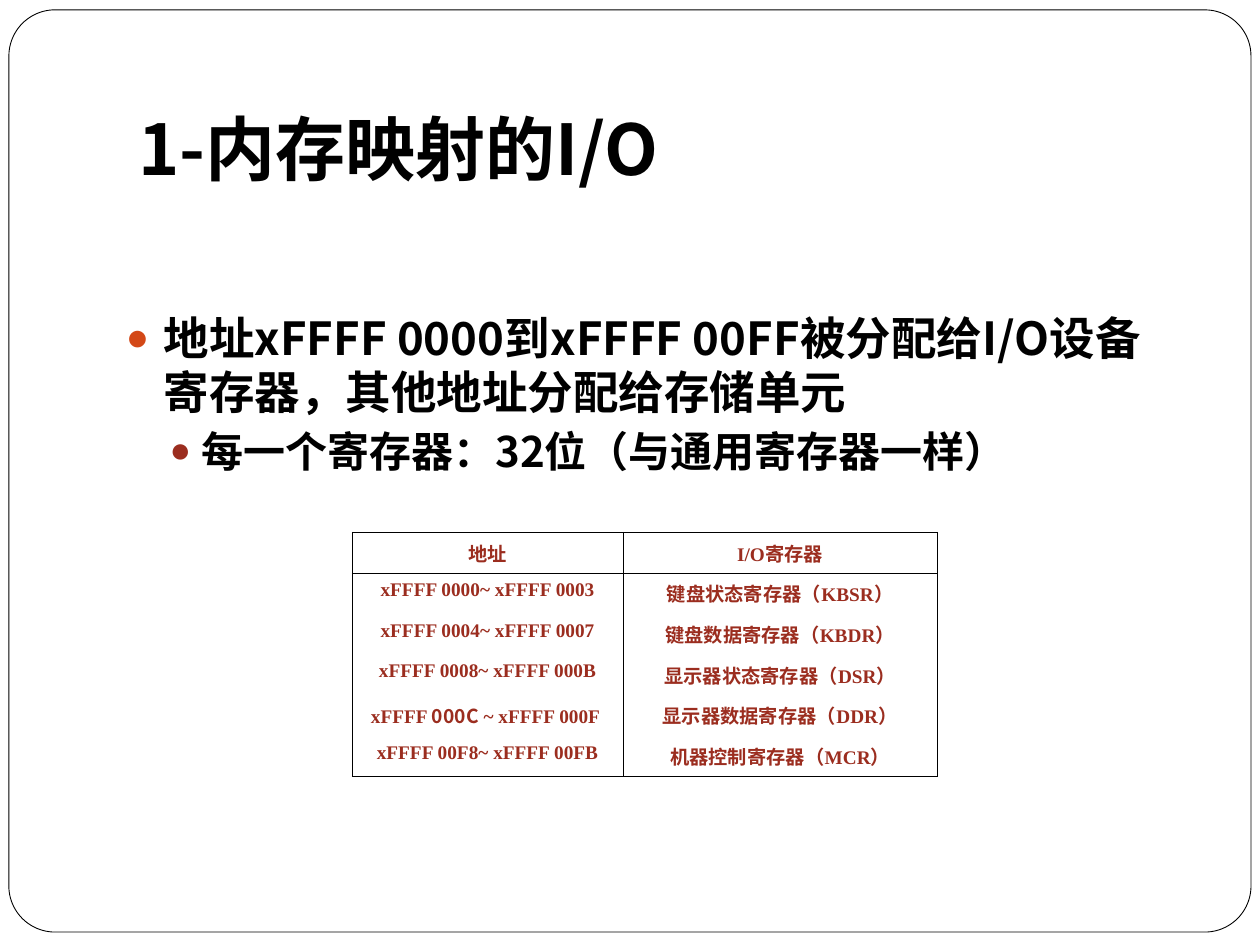
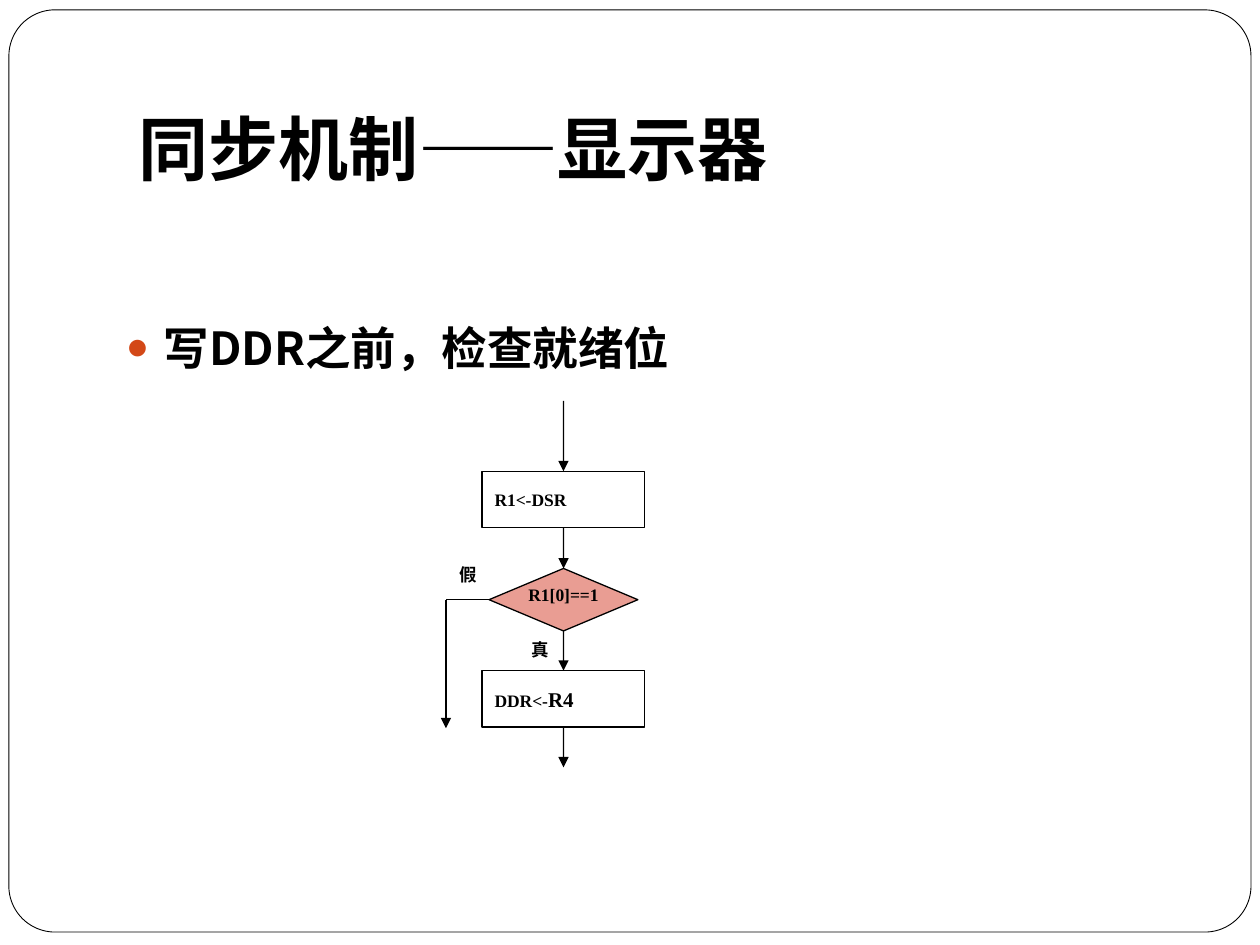
from lxml import etree
from pptx import Presentation
from pptx.dml.color import RGBColor
from pptx.enum.shapes import MSO_CONNECTOR, MSO_SHAPE
from pptx.enum.text import MSO_ANCHOR, PP_ALIGN
from pptx.oxml.ns import qn
from pptx.util import Cm, Pt

STRAIGHT = MSO_CONNECTOR.STRAIGHT
RECTANGLE, ROUNDED = MSO_SHAPE.RECTANGLE, MSO_SHAPE.ROUNDED_RECTANGLE
DECISION = MSO_SHAPE.FLOWCHART_DECISION
TOP, MIDDLE, BOTTOM = MSO_ANCHOR.TOP, MSO_ANCHOR.MIDDLE, MSO_ANCHOR.BOTTOM
LEFT, CENTER = PP_ALIGN.LEFT, PP_ALIGN.CENTER
SIDE_TOP, SIDE_LEFT, SIDE_BOTTOM = 0, 1, 2

SANS, SERIF = "Noto Sans CJK SC", "Times New Roman"
BLACK, WHITE, RED, ORANGE, PINK = "000000", "FFFFFF", "9B2D1F", "D34817", "E99D93"


def color(hex_string):
    return RGBColor.from_string(hex_string)


def write(paragraph, runs, size, hex_string=BLACK, alignment=LEFT):
    """Fill a paragraph with (text, font) or (text, font, size) runs."""
    paragraph.alignment = alignment
    for text, font_name, *own_size in runs:
        run = paragraph.add_run()
        run.text = text
        run.font.size = Pt(own_size[0] if own_size else size)
        run.font.bold = True
        run.font.name = font_name
        run.font.color.rgb = color(hex_string)
        east_asian = etree.SubElement(run.font._element, qn("a:ea"))
        east_asian.set("typeface", SANS)


presentation = Presentation()
presentation.slide_width, presentation.slide_height = Cm(25.4), Cm(19.05)

# Frame, title and bullets: (title, body top, [(level, text)])
contents = [
    ("1-内存映射的I/O", 6.12, [
        (0, "地址xFFFF 0000到xFFFF 00FF被分配给I/O设备寄存器，其他地址分配给存储单元"),
        (1, "每一个寄存器：32位（与通用寄存器一样）")]),
    ("同步机制——显示器", 6.32, [(0, "写DDR之前，检查就绪位")]),
]
# Per level: left margin, hanging indent, text size, bullet colour
levels = [(0.76, 0.76, 26, ORANGE), (1.52, 0.64, 24, RED)]
for title, body_top, bullets in contents:
    slide = presentation.slides.add_slide(presentation.slide_layouts[6])
    frame = slide.shapes.add_shape(ROUNDED, Cm(0.18), Cm(0.2), Cm(25.04), Cm(18.59))
    frame.adjustments[0] = 0.05
    frame.shadow.inherit = False
    frame.fill.solid()
    frame.fill.fore_color.rgb = color(WHITE)
    frame.line.color.rgb = color(BLACK)
    frame.line.width = Pt(0.5)

    title_box = slide.shapes.add_textbox(Cm(2.54), Cm(0.76), Cm(21.59), Cm(3.18))
    title_box.text_frame.word_wrap = True
    title_box.text_frame.vertical_anchor = BOTTOM
    write(title_box.text_frame.paragraphs[0], [(title, SANS)], 40)

    body = slide.shapes.add_textbox(Cm(2.29), Cm(body_top), Cm(21), Cm(11.2)).text_frame
    body.word_wrap = True
    for index, (level, text) in enumerate(bullets):
        paragraph = body.add_paragraph() if index else body.paragraphs[0]
        margin, hanging, size, bullet_color = levels[level]
        paragraph.level = level
        if index:
            paragraph.space_before = Pt(3.7)
        properties = paragraph._p.get_or_add_pPr()
        properties.set("marL", str(Cm(margin)))
        properties.set("indent", str(-Cm(hanging)))
        bullet = etree.SubElement(properties, qn("a:buClr"))
        etree.SubElement(bullet, qn("a:srgbClr")).set("val", bullet_color)
        etree.SubElement(properties, qn("a:buSzPct")).set("val", "85000")
        etree.SubElement(properties, qn("a:buFont")).set("typeface", SERIF)
        etree.SubElement(properties, qn("a:buChar")).set("char", "●")
        write(paragraph, [(text, SANS)], size)

table_slide, flow_slide = presentation.slides

# Register table
registers = [
    ([("xFFFF 0000~ xFFFF 0003", SERIF)], "键盘状态寄存器", "KBSR"),
    ([("xFFFF 0004~ xFFFF 0007", SERIF)], "键盘数据寄存器", "KBDR"),
    ([("xFFFF 0008~ xFFFF 000B", SERIF)], "显示器状态寄存器", "DSR"),
    ([("xFFFF ", SERIF), ("000C", SANS), (" ~ xFFFF 000F ", SERIF)], "显示器数据寄存器", "DDR"),
    ([("xFFFF 00F8~ xFFFF 00FB", SERIF)], "机器控制寄存器", "MCR"),
]
rows = [([("地址", SANS)], [("I/O", SERIF), ("寄存器", SANS)])]
for address, name, code in registers:
    rows.append((address, [(name + "（", SANS), (code, SERIF), ("）", SANS)]))

row_height = 0.82
table = table_slide.shapes.add_table(
    len(rows), 2, Cm(7.1), Cm(10.73), Cm(11.8), Cm(row_height * len(rows))).table
table.first_row = table.horz_banding = False
table.columns[0].width, table.columns[1].width = Cm(5.46), Cm(6.33)
for row_index, row in enumerate(rows):
    table.rows[row_index].height = Cm(row_height)
    for column_index, runs in enumerate(row):
        cell = table.cell(row_index, column_index)
        cell.margin_left = cell.margin_right = Cm(0.18)
        cell.margin_top = cell.margin_bottom = Cm(0.13)
        write(cell.text_frame.paragraphs[0], runs, 11, RED, CENTER)
        # Rules: all verticals, plus above and below the header and at the end
        ruled = {"a:lnL": True, "a:lnR": True, "a:lnT": row_index < 2,
                 "a:lnB": row_index in (0, len(rows) - 1)}
        cell_properties = cell._tc.get_or_add_tcPr()
        for tag, visible in ruled.items():
            border = etree.SubElement(cell_properties, qn(tag), w=str(Pt(0.45)))
            if visible:
                border_fill = etree.SubElement(border, qn("a:solidFill"))
                etree.SubElement(border_fill, qn("a:srgbClr")).set("val", BLACK)
            else:
                etree.SubElement(border, qn("a:noFill"))
        cell.fill.background()

# Flowchart nodes, centred on one axis: (shape, top, width, height, fill, inset, anchor, alignment, runs)
axis = 11.36
node_specs = [
    (RECTANGLE, 9.5, 3.28, 1.14, WHITE, 0.25, MIDDLE, LEFT, [("R1<-DSR", SERIF)]),
    (DECISION, 11.46, 3, 1.26, PINK, 0, TOP, CENTER, [("R1[0]==1", SERIF)]),
    (RECTANGLE, 13.52, 3.28, 1.14, WHITE, 0.25, MIDDLE, LEFT,
     [("DDR<-", SERIF), ("R4", SERIF, 12)]),
]
nodes = []
for kind, top, width, height, fill, inset, anchor, alignment, runs in node_specs:
    node = flow_slide.shapes.add_shape(
        kind, Cm(axis - width / 2), Cm(top), Cm(width), Cm(height))
    node.shadow.inherit = False
    node.fill.solid()
    node.fill.fore_color.rgb = color(fill)
    node.line.color.rgb = color(BLACK)
    node.line.width = Pt(0.75)
    text_frame = node.text_frame
    text_frame.margin_left = text_frame.margin_right = Cm(inset)
    text_frame.margin_top = text_frame.margin_bottom = 0
    text_frame.vertical_anchor = anchor
    write(text_frame.paragraphs[0], runs, 10, BLACK, alignment)
    nodes.append(node)
load, test, store = nodes

# Branch labels
for text, left, top in [("假", 9.02, 11.25), ("真", 10.46, 12.75)]:
    label = flow_slide.shapes.add_textbox(Cm(left), Cm(top), Cm(0.89), Cm(0.84))
    label.text_frame.word_wrap = True
    write(label.text_frame.paragraphs[0], [(text, SERIF)], 10)

# Flow lines: (start, end, arrowhead); an end is a point or a (node, side) pair
branch_left, branch_top = 8.99, 12.09
flow_lines = [
    ((axis, 8.08), (load, SIDE_TOP), True),
    ((load, SIDE_BOTTOM), (test, SIDE_TOP), True),
    ((test, SIDE_BOTTOM), (store, SIDE_TOP), True),
    ((store, SIDE_BOTTOM), (axis, 15.47), True),
    ((test, SIDE_LEFT), (branch_left, branch_top), False),
    ((branch_left, branch_top), (branch_left, 14.68), True),
]
for start, end, arrowhead in flow_lines:
    points = [(0, 0) if point[0] in nodes else point for point in (start, end)]
    (start_x, start_y), (end_x, end_y) = points
    connector = flow_slide.shapes.add_connector(
        STRAIGHT, Cm(start_x), Cm(start_y), Cm(end_x), Cm(end_y))
    if start[0] in nodes:
        connector.begin_connect(*start)
    if end[0] in nodes:
        connector.end_connect(*end)
    connector.line.color.rgb = color(BLACK)
    connector.line.width = Pt(0.75)
    if arrowhead:
        etree.SubElement(connector.line._get_or_add_ln(), qn("a:tailEnd")).set("type", "triangle")
    etree.SubElement(connector._element.spPr, qn("a:effectLst"))

presentation.save("out.pptx")
